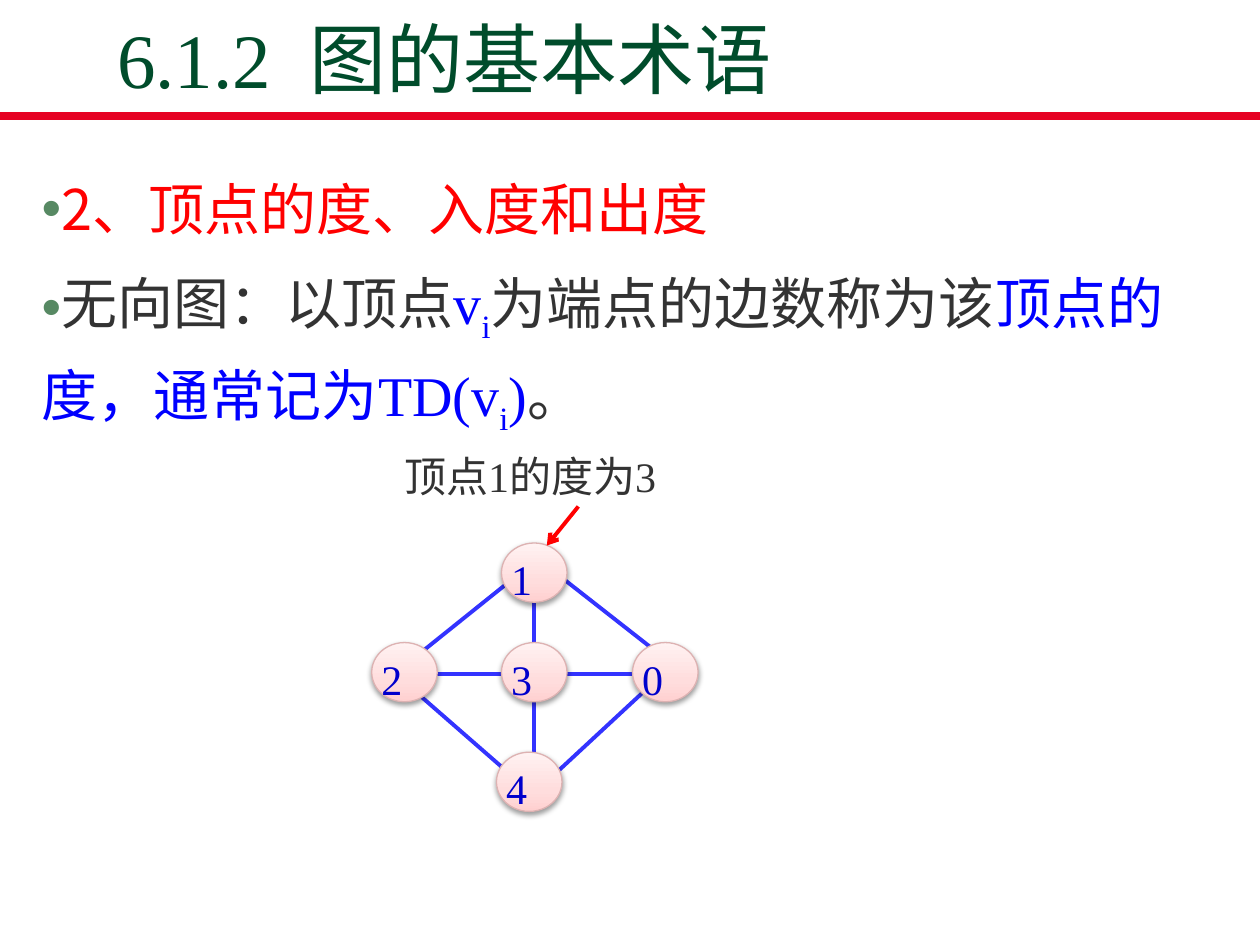
from typing import NamedTuple

from pptx import Presentation
from pptx.dml.color import RGBColor
from pptx.enum.shapes import MSO_CONNECTOR as Connector, MSO_SHAPE as Shape
from pptx.enum.text import MSO_ANCHOR as Anchor, MSO_AUTO_SIZE as AutoSize, PP_ALIGN as Align
from pptx.oxml import parse_xml
from pptx.oxml.ns import nsdecls
from pptx.util import Inches, Pt

SERIF, SANS = "Times New Roman", "Noto Sans CJK SC"
RED, BLUE, DARK = "FF0000", "0000FF", "333333"


class Box(NamedTuple):
    """A rectangle in inches."""
    left: float
    top: float
    width: float
    height: float


def color(value):
    """Turn a hex string into a colour."""
    return RGBColor.from_string(value)


def element(tag, attributes="", inner=""):
    """Make a drawing element."""
    return parse_xml(f"<a:{tag} {nsdecls('a')} {attributes}>{inner}</a:{tag}>")


def place(shape, box):
    """Move a shape to a box."""
    shape.left, shape.top, shape.width, shape.height = map(Inches, box)


def add_run(para, text, size, hex_color, font=SERIF, subscript=False):
    """Append one formatted run."""
    span = para.add_run()
    span.text = text
    span.font.size = Pt(size)
    span.font.bold = False
    span.font.color.rgb = color(hex_color)
    span.font.name = font
    properties = span.font._element
    properties.append(element("ea", f'typeface="{SANS}"'))
    if subscript:
        properties.set("baseline", "-25000")


def add_line(shapes, box, start, end, hex_color, width, arrow=False):
    """Draw a straight line between two points of a box."""
    points = [Inches(value) for x, y in (start, end) for value in (box.left + x, box.top + y)]
    line = shapes.add_connector(Connector.STRAIGHT, *points)
    line.line.color.rgb = color(hex_color)
    line.line.width = Pt(width)
    if arrow:
        line.line._get_or_add_ln().append(element("tailEnd", 'type="arrow"'))
    line._element.spPr.append(element("effectLst"))


def add_heading(page, box):
    """Fill the title and rule it off below."""
    title = page.shapes.title
    place(title, box)
    frame = title.text_frame
    frame.auto_size = AutoSize.NONE
    frame.vertical_anchor = Anchor.MIDDLE
    para = frame.paragraphs[0]
    para.alignment = Align.LEFT
    add_run(para, "6.1.2  图的基本术语", 44, "004C2B")
    add_line(page.shapes, Box(0, box.top, 10, 0), (0, 0.75), (10, 0.75), "E60223", 4.5)


def add_definitions(page, box):
    """Fill the body list with the degree definitions."""
    body = page.placeholders[1]
    place(body, box)
    frame = body.text_frame
    frame.auto_size = AutoSize.NONE
    frame.vertical_anchor = Anchor.TOP
    items = [
        [("2、顶点的度、入度和出度", RED, SANS)],
        [("无向图：以顶点", DARK), ("v", BLUE), ("i", BLUE, SERIF, True),
         ("为端点的边数称为该", DARK), ("顶点的度，通常记为TD(v", BLUE),
         ("i", BLUE, SERIF, True), (")", BLUE), ("。", DARK)],
    ]
    for index, runs in enumerate(items):
        para = frame.add_paragraph() if index else frame.paragraphs[0]
        properties = para._p.get_or_add_pPr()
        properties.set("marL", "0")
        properties.set("indent", "0")
        properties.append(element("buClr", inner='<a:srgbClr val="578963"/>'))
        properties.append(element("buChar", 'char="•"'))
        para.line_spacing = 1.2
        para.space_before = Pt(6.4 * index)
        for text, *style in runs:
            add_run(para, text, 32, *style)


def add_vertex(shapes, box, label):
    """Draw one numbered graph vertex."""
    vertex = shapes.add_shape(Shape.OVAL, *map(Inches, box))
    stops = "".join(
        f'<a:gs pos="{position}000"><a:srgbClr val="{value}"/></a:gs>'
        for position, value in ((0, "FFD0D0"), (35, "FFDDDD"), (100, "FFF2F2")))
    properties = vertex._element.spPr
    properties.insert(2, element(
        "gradFill", 'rotWithShape="1"', f'<a:gsLst>{stops}</a:gsLst><a:lin ang="16200000"/>'))
    vertex.line.color.rgb = color("DDB2B2")
    vertex.line.width = Pt(0.75)
    properties.append(element(
        "effectLst", inner=f'<a:outerShdw blurRad="{Pt(3.1)}" dist="{Pt(1.6)}" dir="5400000" '
        'rotWithShape="0"><a:srgbClr val="000000"><a:alpha val="38000"/></a:srgbClr></a:outerShdw>'))
    frame = vertex.text_frame
    frame.margin_left = frame.margin_right = frame.margin_bottom = 0
    frame.margin_top = Inches(0.12)
    frame.vertical_anchor = Anchor.TOP
    para = frame.paragraphs[0]
    para.alignment = Align.LEFT
    para.line_spacing = 0.72
    add_run(para, label, 24, "0000CC")


def add_graph(page, box):
    """Draw the undirected graph: edges first, vertices above."""
    shapes = page.shapes.add_group_shape().shapes
    edges = [
        ((0.48, 1.04), (2.11, 1.04)), ((0.36, 1.19), (1.07, 1.81)),
        ((1.49, 1.8), (2.18, 1.16)), ((1.49, 0.26), (2.23, 0.84)),
        ((1.1, 0.3), (0.29, 0.95)), ((1.29, 0.46), (1.29, 1.87)),
    ]
    for start, end in edges:
        add_line(shapes, box, start, end, "3333FF", 2.25)
    vertices = {"1": (1.03, 0), "3": (1.03, 0.79), "0": (2.07, 0.79),
                "2": (0, 0.79), "4": (0.99, 1.66)}
    for label, (x, y) in vertices.items():
        add_vertex(shapes, Box(box.left + x, box.top + y, 0.52, 0.47), label)


def add_callout(page, box):
    """Write the degree note with its arrow."""
    shapes = page.shapes.add_group_shape().shapes
    note = shapes.add_textbox(*map(Inches, box))
    note.text_frame.word_wrap = True
    para = note.text_frame.paragraphs[0]
    para.line_spacing = 1.2
    add_run(para, "顶点1的度为3", 24, DARK)
    add_line(shapes, box, (1.48, 0.57), (1.23, 0.88), RED, 2.25, arrow=True)


def main():
    """Build and save the deck."""
    deck = Presentation()
    deck.slide_width, deck.slide_height = Inches(10), Inches(7.5)
    page = deck.slides.add_slide(deck.slide_layouts[1])
    page.background.fill.solid()
    page.background.fill.fore_color.rgb = color("FFFFFF")
    add_heading(page, Box(0.83, 0.17, 8.5, 0.58))
    add_definitions(page, Box(0.23, 1.23, 9.54, 2.9))
    add_graph(page, Box(2.95, 4.31, 2.59, 2.13))
    add_callout(page, Box(3.11, 3.45, 3, 0.58))
    deck.save("out.pptx")


if __name__ == "__main__":
    main()
